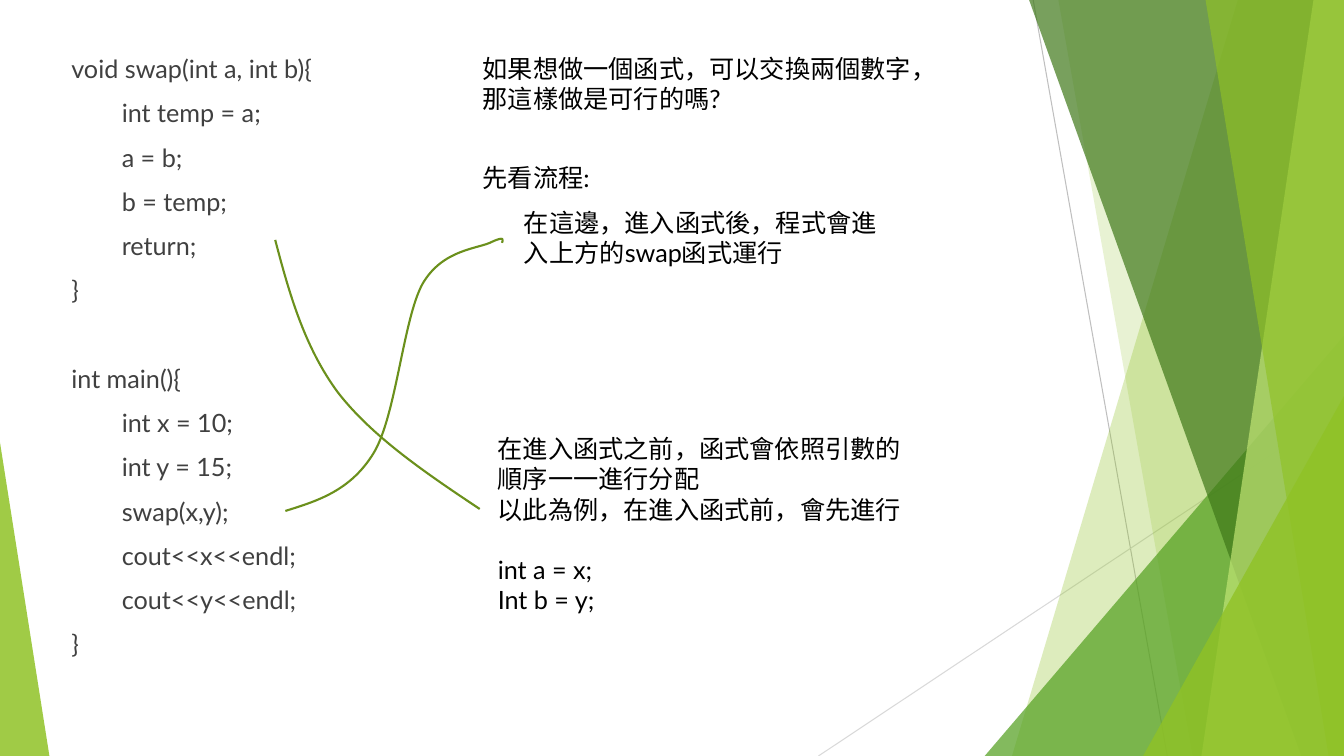
"""Build a slide that traces a swap function call."""
from dataclasses import dataclass
from typing import Any

from lxml import etree
from pptx import Presentation
from pptx.dml import color as c
from pptx.enum import shapes as s, text as t
from pptx.oxml import ns
from pptx.util import Pt

RGB = c.RGBColor
LIME = RGB(0x90, 0xC2, 0x26)
GREEN = RGB(0x54, 0xA0, 0x21)
DARK = RGB(0x3F, 0x78, 0x19)
PALE = RGB(0xC0, 0xE4, 0x74)
OLIVE = RGB(0x6B, 0x90, 0x1C)
SILVER = RGB(0xBF, 0xBF, 0xBF)
MIST = RGB(0xD9, 0xD9, 0xD9)
CODE = RGB(0x40, 0x40, 0x40)
BLACK = RGB(0, 0, 0)
WIDE, HIGH = 960, 540
SIZE, LEAD = 18, 21.6
Point = tuple[float, float]


@dataclass
class Shard:
    top: float
    foot: float
    tint: RGB
    alpha: int


@dataclass
class Wedge:
    left: float
    top: float
    width: float
    apex: float
    tint: RGB
    alpha: int


@dataclass
class Ray:
    start: Point
    end: Point
    tint: RGB


@dataclass
class Note:
    left: float
    top: float
    width: float
    height: float
    text: str
    tint: RGB = BLACK
    gap: float = 0
    wrap: bool = False


RAYS = [
    Ray((738, 0), (833.8, HIGH), SILVER),
    Ray((WIDE, 290.2), (584.6, HIGH), MIST),
]
PANES = [
    Shard(884.2, 722.9, LIME, 30),
    Shard(756, 851.8, LIME, 20),
    Wedge(703.4, 239.8, 256.6, 1, GREEN, 72),
    Shard(735.1, 929.5, DARK, 70),
    Shard(938.2, 858.2, PALE, 70),
    Shard(861.1, 949, LIME, 65),
    Wedge(816.5, 283, 143.5, 1, LIME, 80),
    Wedge(0, 316.1, 35.3, 0, LIME, 85),
]
CURVES = [
    [(203.8, 365), (226.8, 357.8), (250.6, 350.6), (267.1, 323.3),
     (283, 296.6), (288, 228.2), (301.7, 203), (316.1, 177.8),
     (342, 177.8), (351.4, 172.8), (360.7, 168.5), (359.3, 171.4),
     (358.6, 173.5)],
    [(196.6, 171.4), (206.6, 209.5), (217.4, 247.7), (241.2, 280.1),
     (265.7, 311.8), (303.8, 337.7), (342.7, 363.6)],
]
NOTES = [
    Note(43.9, 34.6, 221, 441.4, """void swap(int a, int b){
\tint temp = a;
\ta = b;
\tb = temp;
\treturn;
}

int main(){
\tint x = 10;
\tint y = 15;
\tswap(x,y);
\tcout<<x<<endl;
\tcout<<y<<endl;
}""", CODE, 10, True),
    Note(337.7, 34.6, 342, 51.1, "如果想做一個函式，可以交換兩個數字，\n那這樣做是可行的嗎?"),
    Note(337.7, 112.3, 93.6, 28.8, "先看流程:"),
    Note(367.2, 144.7, 269.3, 51.1, "在這邊，進入函式後，程式會進\n入上方的swap函式運行"),
    Note(348.5, 306, 305.3, 138.2, """在進入函式之前，函式會依照引數的
順序一一進行分配
以此為例，在進入函式前，會先進行

int a = x;
Int b = y;"""),
]


def assign(item: Any, values: dict[str, Any]) -> None:
    for name, value in values.items():
        setattr(item, name, value)


def trace(deck: Any, points: list[Point], close: bool) -> Any:
    first, *rest = [(Pt(x), Pt(y)) for x, y in points]
    pen = deck.build_freeform(*first)
    pen.add_line_segments(rest, close=close)
    shape = pen.convert_to_shape()
    shape.shadow.inherit = False
    return shape


def draw_pane(deck: Any, pane: Shard | Wedge) -> None:
    if isinstance(pane, Shard):
        shape = trace(deck, [(pane.top, 0), (WIDE, 0), (WIDE, HIGH), (pane.foot, HIGH)], True)
    else:
        box = (pane.left, pane.top, pane.width, HIGH - pane.top)
        shape = deck.add_shape(s.MSO_SHAPE.ISOSCELES_TRIANGLE, *map(Pt, box))
        shape.adjustments[0] = pane.apex
        shape.shadow.inherit = False
    shape.fill.solid()
    shape.fill.fore_color.rgb = pane.tint
    shape.line.fill.background()
    tone = shape.fill._xPr.find(".//" + ns.qn("a:srgbClr"))
    etree.SubElement(tone, ns.qn("a:alpha"), val=str(pane.alpha * 1000))


def draw_ray(deck: Any, ray: Ray) -> None:
    line = deck.add_connector(s.MSO_CONNECTOR.STRAIGHT, *map(Pt, ray.start + ray.end))
    line.line.color.rgb = ray.tint
    line.line.width = Pt(0.75)
    etree.SubElement(line._element.spPr, ns.qn("a:effectLst"))


def draw_curve(deck: Any, points: list[Point]) -> None:
    shape = trace(deck, points, False)
    shape.fill.background()
    shape.line.color.rgb = OLIVE
    shape.line.width = Pt(1.5)
    steps = list(shape._element.iter(ns.qn("a:lnTo")))
    for i in range(0, len(steps), 3):
        bend = etree.Element(ns.qn("a:cubicBezTo"))
        steps[i].addprevious(bend)
        for step in steps[i:i + 3]:
            bend.append(step[0])
            step.getparent().remove(step)


def draw_note(deck: Any, note: Note) -> None:
    box = deck.add_textbox(*map(Pt, (note.left, note.top, note.width, note.height)))
    frame = box.text_frame
    fit = t.MSO_AUTO_SIZE.NONE if note.wrap else t.MSO_AUTO_SIZE.SHAPE_TO_FIT_TEXT
    assign(frame, {"word_wrap": note.wrap, "auto_size": fit})
    para, space = frame.paragraphs[0], 0.0
    for i, row in enumerate(note.text.split("\n")):
        if not row:
            space += LEAD + note.gap
            continue
        if i:
            para = frame.add_paragraph()
        para.space_before = Pt(space)
        if row.startswith("\t"):
            para._p.get_or_add_pPr().set("marL", str(Pt(36)))
        run = para.add_run()
        run.text = row.strip()
        assign(run.font, {"name": "Lato", "size": Pt(SIZE)})
        run.font.color.rgb = note.tint
        space = note.gap


def main() -> None:
    show = Presentation()
    assign(show, {"slide_width": Pt(WIDE), "slide_height": Pt(HIGH)})
    deck = show.slides.add_slide(show.slide_layouts[6]).shapes
    for draw, items in ((draw_ray, RAYS), (draw_pane, PANES),
                        (draw_curve, CURVES), (draw_note, NOTES)):
        for item in items:
            draw(deck, item)
    show.save("out.pptx")


if __name__ == "__main__":
    main()
